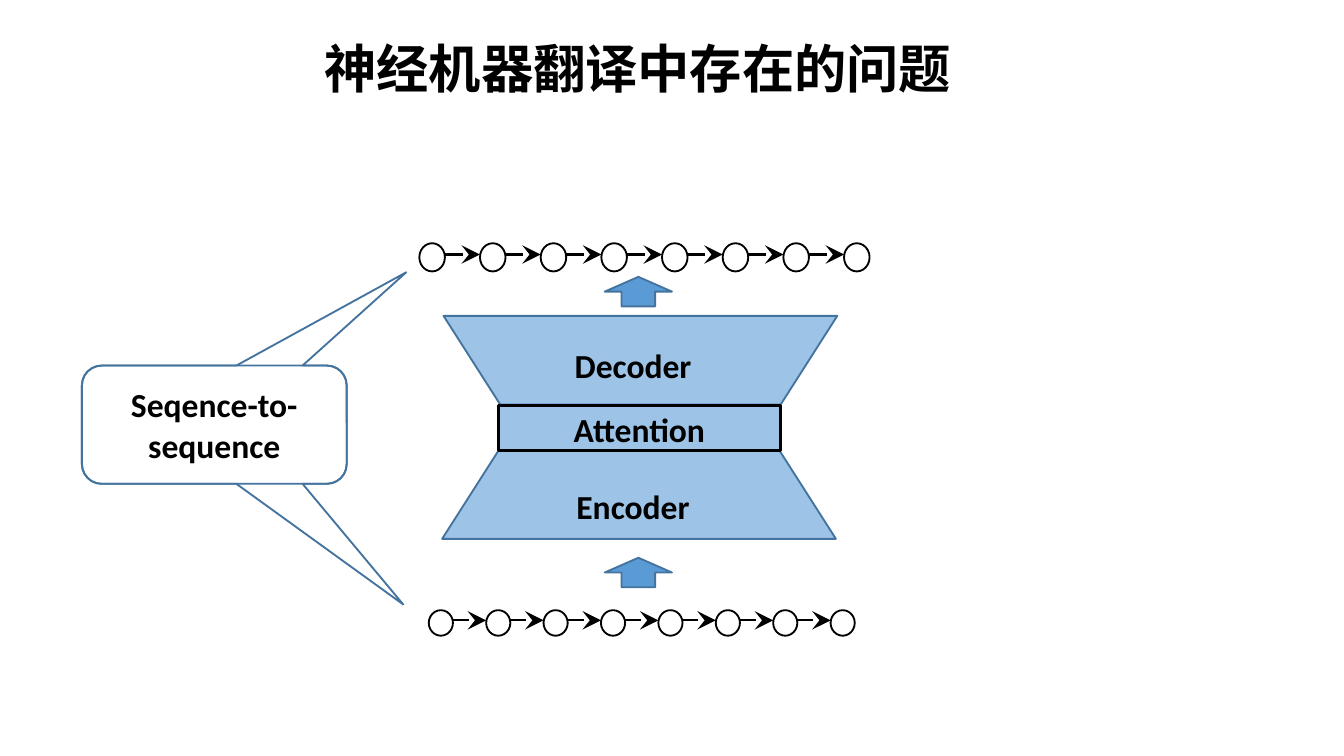
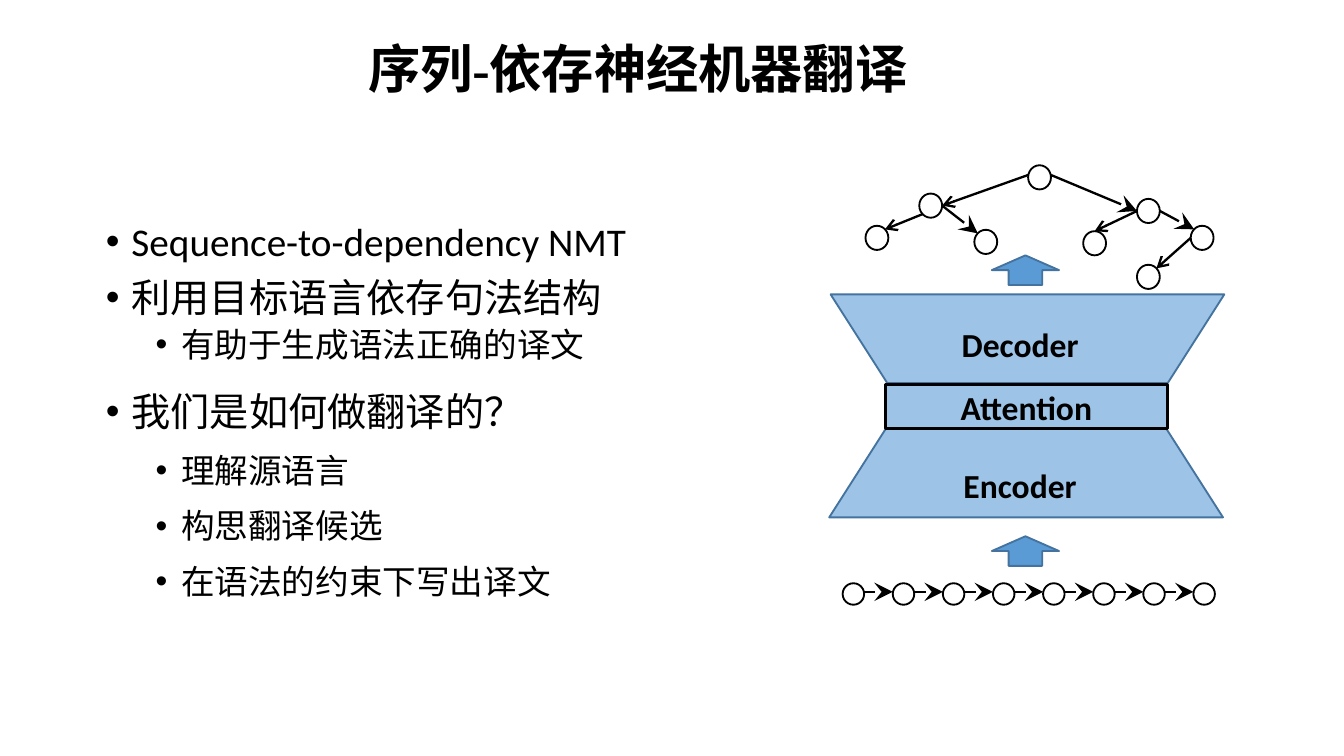
from dataclasses import dataclass
from typing import Optional

from lxml.etree import SubElement
from pptx import Presentation
from pptx.dml.color import RGBColor
from pptx.enum.shapes import MSO_CONNECTOR, MSO_SHAPE
from pptx.enum.text import MSO_ANCHOR, MSO_AUTO_SIZE, PP_ALIGN
from pptx.oxml.ns import qn
from pptx.util import Inches, Pt

BLACK = RGBColor(0x00, 0x00, 0x00)
WHITE = RGBColor(0xFF, 0xFF, 0xFF)
PALE_BLUE = RGBColor(0x9D, 0xC3, 0xE6)
BLUE = RGBColor(0x5B, 0x9B, 0xD5)
DARK_BLUE = RGBColor(0x43, 0x73, 0x9E)

BODY_FONT = "Calibri"
TITLE_FONT = "Times New Roman"
BULLET_FONT = "Arial"
TITLE_ONLY_LAYOUT = 5
ARROWHEAD_SIZES = {"stealth": "lg", "arrow": "med"}

# Points on a circle, as fractions of its width and height
LEFT, RIGHT, TOP = (0, 0.5), (1, 0.5), (0.5, 0)
TOP_LEFT, TOP_RIGHT, BOTTOM_LEFT = (0.15, 0.15), (0.85, 0.15), (0.15, 0.85)
UPPER_LEFT, UPPER_RIGHT = (0, 0.4), (1, 0.4)


@dataclass(frozen=True)
class Chain:
    """A row of circles joined by arrows."""
    first_left: float
    last_left: float
    top: float
    width: float
    height: float
    count: int = 8


@dataclass(frozen=True)
class Edge:
    parent: str
    parent_side: tuple
    child: str
    child_side: tuple
    arrowhead: str


@dataclass(frozen=True)
class Bullet:
    text: str
    level: int = 0
    spacing: float = 1.2


@dataclass(frozen=True)
class Callout:
    tip_x: float
    tip_y: float
    text: str = ""


OUTPUT_CHAIN = Chain(3.12, 6.28, 1.81, 0.19, 0.21)
INPUT_CHAIN = Chain(3.19, 6.18, 4.54, 0.18, 0.19)
SMALL_INPUT_CHAIN = Chain(6.27, 8.88, 4.34, 0.16, 0.16)

CALLOUTS = [Callout(0.714, 1.521), Callout(0.725, -1.289, "Seqence-to-sequence")]

NODE_WIDTH, NODE_HEIGHT = 0.17, 0.18
TREE_NODES = {
    "root": (7.65, 1.23),
    "left": (6.84, 1.44),
    "left-left": (6.44, 1.68),
    "left-right": (7.25, 1.71),
    "right": (8.46, 1.48),
    "right-left": (8.06, 1.72),
    "right-right": (8.86, 1.68),
    "leaf": (8.46, 1.97),
}
TREE_EDGES = [
    Edge("root", UPPER_LEFT, "left", RIGHT, "arrow"),
    Edge("root", UPPER_RIGHT, "right", LEFT, "stealth"),
    Edge("left", BOTTOM_LEFT, "left-left", TOP_RIGHT, "arrow"),
    Edge("left", RIGHT, "left-right", TOP_LEFT, "stealth"),
    Edge("right", LEFT, "right-left", TOP, "arrow"),
    Edge("right", RIGHT, "right-right", TOP_LEFT, "stealth"),
    Edge("right-right", LEFT, "leaf", TOP_RIGHT, "arrow"),
]

BULLETS = [
    Bullet("Sequence-to-dependency NMT"),
    Bullet("利用目标语言依存句法结构", spacing=0.9),
    Bullet("有助于生成语法正确的译文", level=1, spacing=0.9),
    Bullet("我们是如何做翻译的？"),
    Bullet("理解源语言", level=1),
    Bullet("构思翻译候选", level=1),
    Bullet("在语法的约束下写出译文", level=1),
]


# Building blocks
def write(para, text: str, *, size: float = 18, font: str = BODY_FONT,
          bold: bool = True, align: Optional[PP_ALIGN] = PP_ALIGN.CENTER) -> None:
    para.alignment = align
    span = para.add_run()
    span.text = text
    span.font.size = Pt(size)
    span.font.name = font
    span.font.bold = bold
    span.font.color.rgb = BLACK


def draw_shape(shapes, kind: MSO_SHAPE, left: float, top: float, width: float,
               height: float, *, fill: Optional[RGBColor] = None,
               line: RGBColor = DARK_BLUE, weight: float = 1):
    shape = shapes.add_shape(kind, Inches(left), Inches(top),
                             Inches(width), Inches(height))
    shape.shadow.inherit = False
    if fill is None:
        shape.fill.background()
    else:
        shape.fill.solid()
        shape.fill.fore_color.rgb = fill
    shape.line.color.rgb = line
    shape.line.width = Pt(weight)
    return shape


def draw_circle(shapes, left: float, top: float, width: float, height: float) -> None:
    draw_shape(shapes, MSO_SHAPE.OVAL, left, top, width, height,
               fill=WHITE, line=BLACK)


def draw_arrow(shapes, start: tuple, end: tuple, arrowhead: str) -> None:
    arrow = shapes.add_connector(MSO_CONNECTOR.STRAIGHT,
                                 *(Inches(value) for value in (*start, *end)))
    arrow.line.color.rgb = BLACK
    arrow.line.width = Pt(1.25)
    properties = arrow.element.spPr
    size = ARROWHEAD_SIZES[arrowhead]
    SubElement(properties.find(qn("a:ln")), qn("a:tailEnd"),
               type=arrowhead, w=size, len=size)
    SubElement(properties, qn("a:effectLst"))


def draw_label(shapes, text: str, left: float, top: float, width: float, *,
               wrap: bool = True, align: PP_ALIGN = PP_ALIGN.CENTER) -> None:
    box = shapes.add_textbox(Inches(left), Inches(top), Inches(width), Inches(0.4))
    box.text_frame.word_wrap = wrap
    box.text_frame.auto_size = MSO_AUTO_SIZE.SHAPE_TO_FIT_TEXT
    write(box.text_frame.paragraphs[0], text, align=align)


def add_titled_page(deck, title: str):
    page = deck.slides.add_slide(deck.slide_layouts[TITLE_ONLY_LAYOUT])
    box = page.shapes.title
    box.left, box.top = Inches(1.42), Inches(0)
    box.width, box.height = Inches(6.65), Inches(1.01)
    frame = box.text_frame
    frame.word_wrap = True
    frame.auto_size = MSO_AUTO_SIZE.NONE
    frame.vertical_anchor = MSO_ANCHOR.MIDDLE
    write(frame.paragraphs[0], title, size=28, font=TITLE_FONT)
    return page


# Diagram parts
def draw_chain(page, chain: Chain) -> None:
    group = page.shapes.add_group_shape()
    pitch = (chain.last_left - chain.first_left) / (chain.count - 1)
    lefts = [chain.first_left + index * pitch for index in range(chain.count)]
    for left in lefts:
        draw_circle(group.shapes, left, chain.top, chain.width, chain.height)
    arrow_y = chain.top + 0.4 * chain.height
    for left, following in zip(lefts, lefts[1:]):
        draw_arrow(group.shapes, (left + chain.width, arrow_y),
                   (following, arrow_y), "stealth")


def draw_translator(page, left: float, top: float) -> None:
    """Decoder, attention and encoder, with the arrows out and in."""
    group = page.shapes.add_group_shape()
    for x, y, turn in ((left, top + 1, 0), (left + 0.01, top, 180)):
        trapezoid = draw_shape(group.shapes, MSO_SHAPE.TRAPEZOID, x, y, 2.93, 0.66,
                               fill=PALE_BLUE)
        trapezoid.adjustments[0] = 0.639
        trapezoid.rotation = turn
    draw_shape(group.shapes, MSO_SHAPE.RECTANGLE, left + 0.42, top + 0.67, 2.1, 0.33,
               fill=PALE_BLUE, line=BLACK, weight=1.5)
    draw_label(page.shapes, "Decoder", left + 0.83, top + 0.17, 1.18)
    draw_label(page.shapes, "Encoder", left + 0.83, top + 1.22, 1.18)
    draw_label(page.shapes, "Attention", left + 0.88, top + 0.64, 1.19,
               wrap=False, align=PP_ALIGN.LEFT)
    for arrow_top in (top + 1.8, top - 0.29):
        draw_shape(page.shapes, MSO_SHAPE.UP_ARROW, left + 1.21, arrow_top, 0.5, 0.22,
                   fill=BLUE)


def draw_callouts(page) -> None:
    group = page.shapes.add_group_shape()
    for callout in CALLOUTS:
        shape = draw_shape(group.shapes, MSO_SHAPE.ROUNDED_RECTANGULAR_CALLOUT,
                           0.61, 2.72, 1.97, 0.88)
        for index, value in enumerate((callout.tip_x, callout.tip_y, 0.167)):
            shape.adjustments[index] = value
        if callout.text:
            shape.text_frame.word_wrap = True
            shape.text_frame.vertical_anchor = MSO_ANCHOR.MIDDLE
            write(shape.text_frame.paragraphs[0], callout.text)


def node_point(node: str, side: tuple) -> tuple:
    left, top = TREE_NODES[node]
    return left + side[0] * NODE_WIDTH, top + side[1] * NODE_HEIGHT


def draw_tree(page) -> None:
    group = page.shapes.add_group_shape()
    for left, top in TREE_NODES.values():
        draw_circle(group.shapes, left, top, NODE_WIDTH, NODE_HEIGHT)
    for edge in TREE_EDGES:
        draw_arrow(group.shapes, node_point(edge.parent, edge.parent_side),
                   node_point(edge.child, edge.child_side), edge.arrowhead)


def draw_bullets(page) -> None:
    box = page.shapes.add_textbox(Inches(0.69), Inches(1.5), Inches(5.7), Inches(3.28))
    frame = box.text_frame
    frame.word_wrap = True
    for index, bullet in enumerate(BULLETS):
        para = frame.add_paragraph() if index else frame.paragraphs[0]
        para.level = bullet.level
        properties = para._p.get_or_add_pPr()
        properties.set("marL", str(Inches(0.56 if bullet.level else 0.19)))
        properties.set("indent", str(Inches(-0.19)))
        SubElement(properties, qn("a:buFont"), typeface=BULLET_FONT)
        SubElement(properties, qn("a:buChar"), char="•")
        para.line_spacing = bullet.spacing
        if index:
            para.space_before = Pt(3.8 if bullet.level else 7.5)
        write(para, bullet.text, size=18 if bullet.level else 21,
              bold=False, align=None)


# Slides
def add_problem_page(deck) -> None:
    page = add_titled_page(deck, "神经机器翻译中存在的问题")
    draw_chain(page, OUTPUT_CHAIN)
    draw_translator(page, 3.29, 2.35)
    draw_chain(page, INPUT_CHAIN)
    draw_callouts(page)


def add_dependency_page(deck) -> None:
    page = add_titled_page(deck, "序列-依存神经机器翻译")
    draw_bullets(page)
    draw_chain(page, SMALL_INPUT_CHAIN)
    draw_tree(page)
    draw_translator(page, 6.17, 2.19)


def main() -> None:
    deck = Presentation()
    deck.slide_width = Inches(10)
    deck.slide_height = Inches(10 * 9 / 16)
    add_problem_page(deck)
    add_dependency_page(deck)
    deck.save("out.pptx")


if __name__ == "__main__":
    main()
